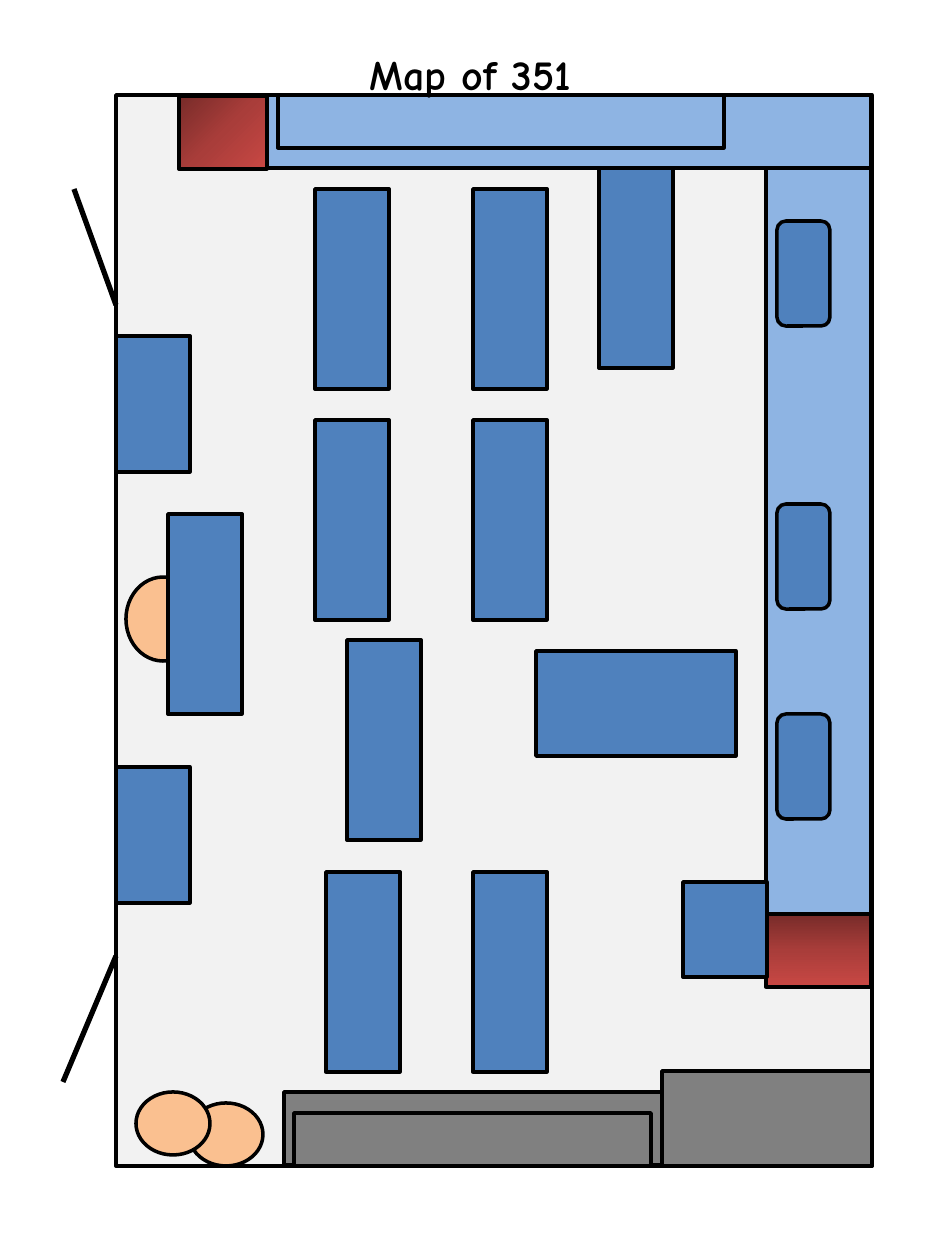
"""Draw the floor plan of room 351."""
from copy import deepcopy
from dataclasses import dataclass

from lxml import etree
from pptx import Presentation
from pptx.dml.color import RGBColor
from pptx.enum.shapes import MSO_CONNECTOR, MSO_SHAPE
from pptx.enum.text import MSO_ANCHOR, MSO_AUTO_SIZE, PP_ALIGN
from pptx.oxml.ns import qn
from pptx.util import Pt

EMU_PER_PIXEL = 914400 / 126


@dataclass
class Theme:
    font: str = "Comic Neue"
    title_size: int = 24
    outline: int = 2
    door_line: int = 3
    ink: str = "000000"
    floor: str = "F2F2F2"
    counter: str = "8EB4E3"
    desk: str = "4F81BD"
    cabinet: str = "808080"
    seat: str = "FAC090"
    red: tuple = ((0, "772B29"), (0.5, "A93D3A"), (1, "C94844"))


theme = Theme()
rgb = RGBColor.from_string


def px(*values):
    return [round(value * EMU_PER_PIXEL) for value in values]


def add_item(box, color, kind=MSO_SHAPE.RECTANGLE, angle=0):
    item = slide.shapes.add_shape(kind, *px(*box))
    item.shadow.inherit = False
    item.line.color.rgb = rgb(theme.ink)
    item.line.width = Pt(theme.outline)
    if isinstance(color, str):
        item.fill.solid()
        item.fill.fore_color.rgb = rgb(color)
        return
    item.fill.gradient()
    item.fill.gradient_angle = angle
    stop_list = next(item._element.spPr.iter(qn("a:gsLst")))
    stop_list.append(deepcopy(stop_list[0]))
    for stop, (position, shade) in zip(item.fill.gradient_stops, color):
        stop.position = position
        stop.color.rgb = rgb(shade)


prs = Presentation()
prs.slide_width, prs.slide_height = px(945, 1260)
slide = prs.slides.add_slide(prs.slide_layouts[5])

add_item((116, 95, 756, 1071), theme.floor)
add_item((766, 914, 105, 73), theme.red, angle=270)
add_item((267, 95, 604, 73), theme.counter)
add_item((284, 1092, 378, 73), theme.cabinet)
add_item((278, 95, 446, 53), theme.counter)
add_item((662, 1071, 210, 95), theme.cabinet)
for left, top in [(189, 1103), (136, 1092)]:
    add_item((left, top, 74, 63), theme.seat, MSO_SHAPE.OVAL)
add_item((766, 168, 105, 746), theme.counter)
add_item((179, 96, 88, 73), theme.red, angle=315)

student_desks = [(left, top) for top in (189, 420) for left in (315, 473)]
student_desks += [(599, 168), (347, 640), (326, 872), (473, 872)]
for left, top in student_desks:
    add_item((left, top, 74, 200), theme.desk)
add_item((536, 651, 200, 105), theme.desk)
add_item((683, 882, 84, 95), theme.desk)
add_item((294, 1113, 357, 53), theme.cabinet)

add_item((126, 577, 74, 84), theme.seat, MSO_SHAPE.OVAL)
add_item((168, 514, 74, 200), theme.desk)
for top in (336, 767):
    add_item((116, top, 74, 136), theme.desk)

for door in [(116, 305, 74, 189), (116, 956, 63, 1082)]:
    leaf = slide.shapes.add_connector(MSO_CONNECTOR.STRAIGHT, *px(*door))
    leaf.line.color.rgb = rgb(theme.ink)
    leaf.line.width = Pt(theme.door_line)
    etree.SubElement(leaf._element.spPr, qn("a:effectLst"))

for top in (221, 504, 714):
    add_item((777, top, 53, 105), theme.desk, MSO_SHAPE.ROUNDED_RECTANGLE)

title = slide.shapes.title
title.left, title.top, title.width, title.height = px(357, 42, 227, 63)
frame = title.text_frame
frame.text = "Map of 351"
frame.word_wrap = False
frame.auto_size = MSO_AUTO_SIZE.NONE
frame.vertical_anchor = MSO_ANCHOR.TOP
heading = frame.paragraphs[0]
heading.alignment = PP_ALIGN.CENTER
heading.font.name = theme.font
heading.font.size = Pt(theme.title_size)
heading.font.bold = True
heading.font.color.rgb = rgb(theme.ink)
slide.shapes._spTree.append(title._element)

prs.save("out.pptx")
